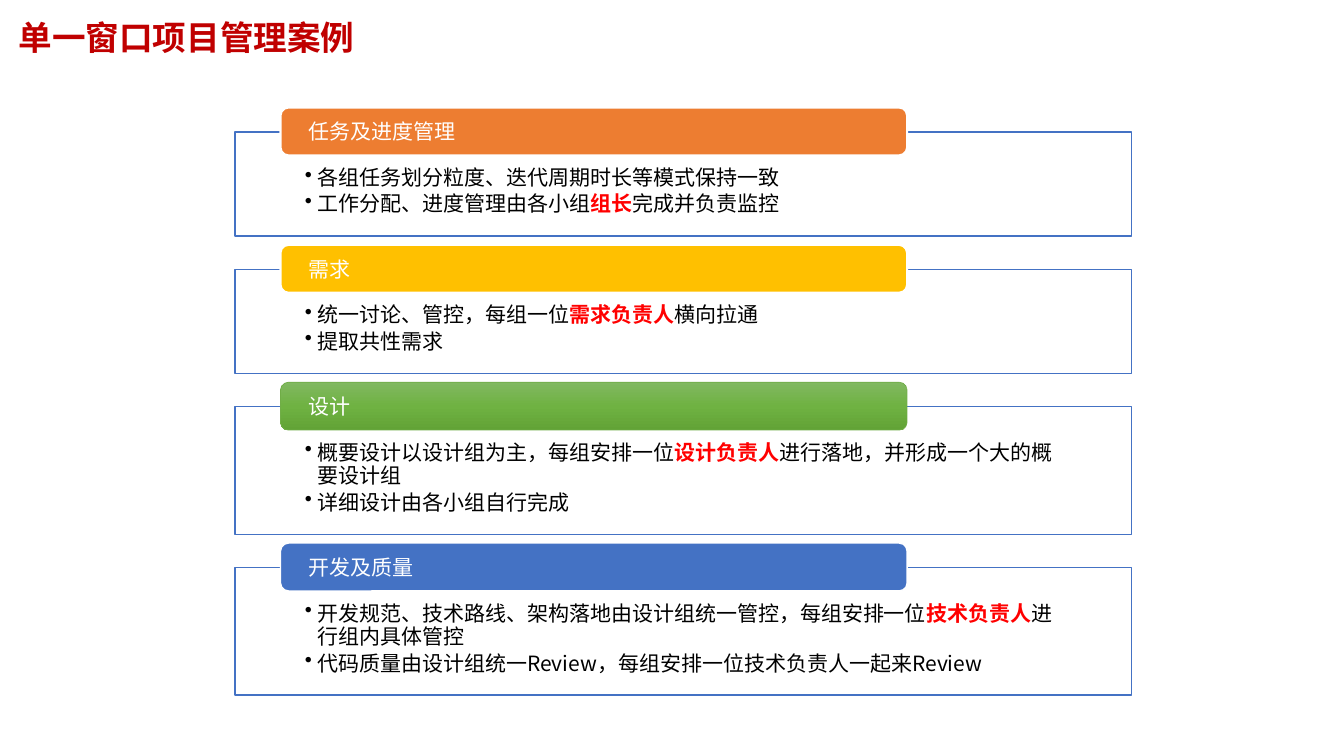
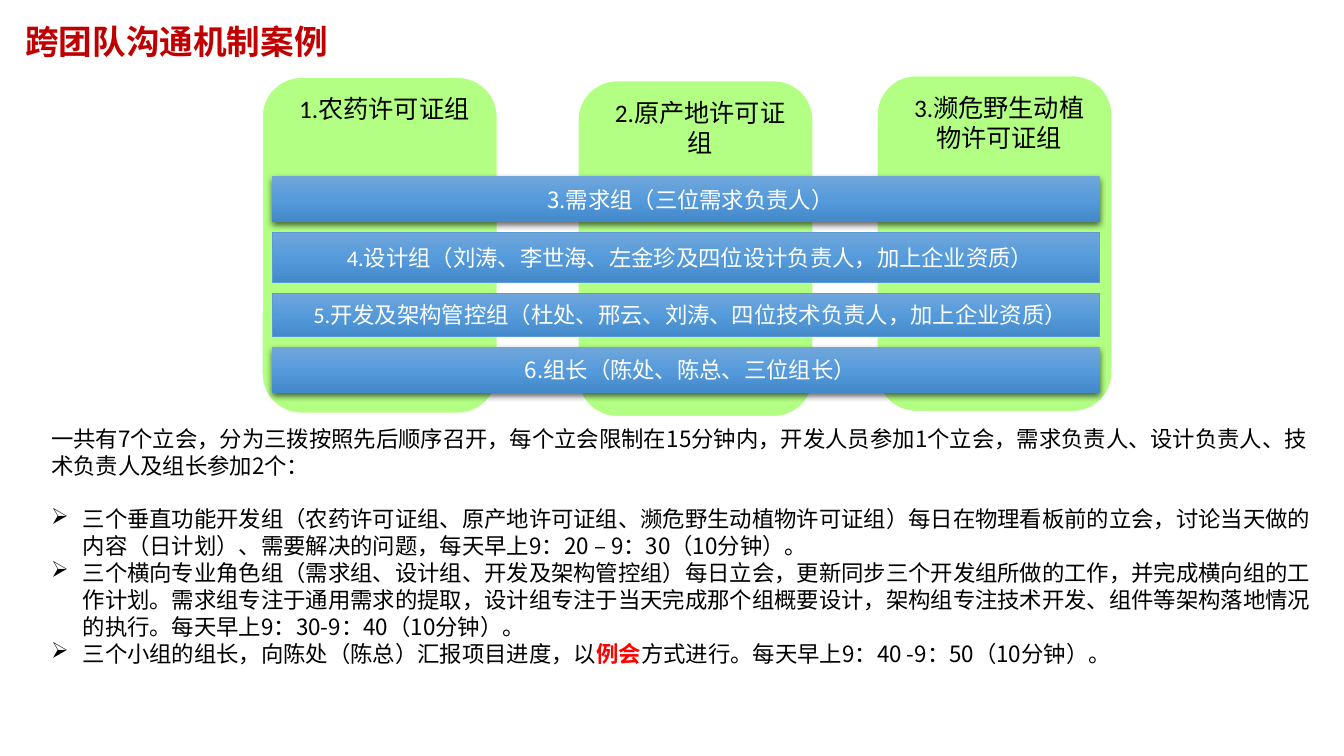
from copy import deepcopy

from lxml.etree import SubElement
from pptx import Presentation
from pptx.dml.color import RGBColor
from pptx.enum.shapes import MSO_SHAPE
from pptx.enum.text import MSO_ANCHOR, PP_ALIGN
from pptx.oxml.ns import qn
from pptx.util import Inches, Pt

COLUMNS, ROWS = 160, 90
CJK, LATIN = "Noto Sans CJK SC", "Calibri"
RED, BRIGHT_RED, BLACK, WHITE = "C00000", "FF0000", "000000", "FFFFFF"
BLUE, BAND_EDGE, PILLAR_GREEN = "4472C4", "5B9BD5", "B2FF84"
GREEN_FADE = ("81B861", "6FB242", "62A336")
BLUE_FADE = ("71A6DB", "559BDB", "448ACA")
TEXT_INSETS = (1.2, 0.6, 1.2, 0.6)
SHAPE_INSETS = (1.7, 0.6, 0.6, 0.6)


def color(code):
    return RGBColor.from_string(code)


class Deck:
    def __init__(self):
        self.presentation = Presentation()
        self.presentation.slide_width = Inches(13.333)
        self.presentation.slide_height = Inches(7.5)
        self.column = self.presentation.slide_width / COLUMNS
        self.row = self.presentation.slide_height / ROWS
        self.slide = None

    def place(self, left, top, width, height):
        return (round(left * self.column), round(top * self.row),
                round(width * self.column), round(height * self.row))

    def new_slide(self, title, left, top):
        blank = self.presentation.slide_layouts[6]
        self.slide = self.presentation.slides.add_slide(blank)
        frame = self.text_box((left, top, 55.5, 6.1))
        self.paragraph(frame, [title], 24, RED, bold=True)

    def frame(self, shape, insets, anchor=MSO_ANCHOR.TOP):
        frame = shape.text_frame
        frame.word_wrap = True
        frame.vertical_anchor = anchor
        left, top, right, bottom = insets
        frame.margin_left = round(left * self.column)
        frame.margin_top = round(top * self.row)
        frame.margin_right = round(right * self.column)
        frame.margin_bottom = round(bottom * self.row)
        return frame

    def text_box(self, area):
        box = self.slide.shapes.add_textbox(*self.place(*area))
        return self.frame(box, TEXT_INSETS)

    def box(self, kind, area, fill, edge=None, edge_width=1, shadow=False,
            insets=SHAPE_INSETS, anchor=MSO_ANCHOR.MIDDLE):
        shape = self.slide.shapes.add_shape(kind, *self.place(*area))
        shape.shadow.inherit = False
        if isinstance(fill, tuple):
            self.fade(shape, fill)
        else:
            shape.fill.solid()
            shape.fill.fore_color.rgb = color(fill)
        if edge:
            shape.line.color.rgb = color(edge)
            shape.line.width = Pt(edge_width)
        else:
            shape.line.fill.background()
        if shadow:
            self.cast_shadow(shape)
        return self.frame(shape, insets, anchor)

    def fade(self, shape, shades):
        shape.fill.gradient()
        shape.fill.gradient_angle = 270
        stops = shape._element.spPr.find(".//" + qn("a:gsLst"))
        stops.append(deepcopy(stops[-1]))
        for index, (stop, shade) in enumerate(zip(shape.fill.gradient_stops, shades)):
            stop.position = index / 2
            stop.color.rgb = color(shade)

    def cast_shadow(self, shape):
        effects = shape._element.spPr.find(qn("a:effectLst"))
        outer = SubElement(effects, qn("a:outerShdw"), blurRad=str(Pt(4.5)),
                           dist=str(Pt(1.5)), dir="5400000", rotWithShape="0")
        tint = SubElement(outer, qn("a:srgbClr"), val=BLACK)
        SubElement(tint, qn("a:alpha"), val="63000")

    def paragraph(self, frame, parts, size, ink, font=CJK, bold=False, leading=1.2,
                  after=0, align=PP_ALIGN.LEFT, bullet=None, indent=0):
        first = frame.paragraphs[0]
        paragraph = frame.add_paragraph() if first.runs else first
        paragraph.alignment = align
        paragraph.line_spacing = Pt(size * leading)
        paragraph.space_after = Pt(after)
        if bullet:
            properties = paragraph._p.get_or_add_pPr()
            hang = round(indent * self.column)
            properties.set("marL", str(hang))
            properties.set("indent", str(-hang))
            SubElement(properties, qn("a:buChar"), char=bullet)
        for index, part in enumerate(parts):
            stressed = index % 2 == 1
            run = paragraph.add_run()
            run.text = part
            run.font.size = Pt(size)
            run.font.bold = bold or stressed
            run.font.color.rgb = color(BRIGHT_RED if stressed else ink)
            run.font.name = font
            SubElement(run._r.get_or_add_rPr(), qn("a:ea"), typeface=CJK)

    def section(self, top, height, heading, items, fill, edge, edge_width):
        body = self.box(MSO_SHAPE.RECTANGLE, (28, top, 106.7, height), WHITE, BLUE,
                        insets=(8.3, 4.1, 8.3, 1.4), anchor=MSO_ANCHOR.TOP)
        for item in items:
            self.paragraph(body, item, 15, BLACK, leading=1.12, after=2,
                           bullet="•", indent=1.45)
        tab = self.box(MSO_SHAPE.ROUNDED_RECTANGLE, (33.4, top - 2.9, 74.6, 5.7),
                       fill, edge, edge_width, insets=(3.1, 0, 3.1, 0))
        self.paragraph(tab, [heading], 15, WHITE)

    def pillar(self, left, top, label):
        frame = self.box(MSO_SHAPE.ROUNDED_RECTANGLE, (left, top, 28, 40),
                         PILLAR_GREEN, WHITE, anchor=MSO_ANCHOR.TOP)
        self.paragraph(frame, [label], 18, BLACK, font=LATIN, align=PP_ALIGN.CENTER)

    def band(self, top, height, label, raised):
        frame = self.box(MSO_SHAPE.RECTANGLE, (32.4, top, 98.5, height), BLUE_FADE,
                         None if raised else BAND_EDGE, 0.5, shadow=raised)
        self.paragraph(frame, [label], 16, WHITE, font=CJK if raised else LATIN,
                       align=PP_ALIGN.CENTER)


def management_slide(deck):
    deck.new_slide("单一窗口项目管理案例", 1, 1.4)
    sections = [
        (12.4, "任务及进度管理",
         [["各组任务划分粒度、迭代周期时长等模式保持一致"],
          ["工作分配、进度管理由各小组", "组长", "完成并负责监控"]],
         "ED7D31", WHITE, 1.5),
        (12.4, "需求",
         [["统一讨论、管控，每组一位", "需求负责人", "横向拉通"],
          ["提取共性需求"]],
         "FFC000", WHITE, 1.5),
        (15.2, "设计",
         [["概要设计以设计组为主，每组安排一位", "设计负责人",
           "进行落地，并形成一个大的概要设计组"],
          ["详细设计由各小组自行完成"]],
         GREEN_FADE, "70AD47", 0.5),
        (15.2, "开发及质量",
         [["开发规范、技术路线、架构落地由设计组统一管控，每组安排一位",
           "技术负责人", "进行组内具体管控"],
          ["代码质量由设计组统一Review，每组安排一位技术负责人一起来Review"]],
         BLUE, WHITE, 1),
    ]
    top, gap = 15.7, 3.95
    for height, *content in sections:
        deck.section(top, height, *content)
        top += height + gap


def communication_slide(deck):
    deck.new_slide("跨团队沟通机制案例", 1.8, 1.9)
    pillars = [
        (68.8, 9.6, "2.原产地许可证组"),
        (104.4, 9, "3.濒危野生动植物许可证组"),
        (31.2, 9.2, "1.农药许可证组"),
    ]
    for pillar in pillars:
        deck.pillar(*pillar)

    bands = [
        (5.4, "3.需求组（三位需求负责人）", True),
        (6, "4.设计组（刘涛、李世海、左金珍及四位设计负责人，加上企业资质）", False),
        (5.2, "5.开发及架构管控组（杜处、邢云、刘涛、四位技术负责人，加上企业资质）", False),
        (5.4, "6.组长（陈处、陈总、三位组长）", True),
    ]
    top, gap = 21, 1.25
    for height, label, raised in bands:
        deck.band(top, height, label, raised)
        top += height + gap

    meetings = deck.text_box((4.9, 50, 152.5, 30.2))
    deck.paragraph(meetings, [
        "一共有7个立会，分为三拨按照先后顺序召开，每个立会限制在15分钟内，"
        "开发人员参加1个立会，需求负责人、设计负责人、技术负责人及组长参加2个："
    ], 16, BLACK, after=19.2)
    rules = [
        ["三个垂直功能开发组（农药许可证组、原产地许可证组、濒危野生动植物许可证组）"
         "每日在物理看板前的立会，讨论当天做的内容（日计划）、需要解决的问题，"
         "每天早上9：20 – 9：30（10分钟）。"],
        ["三个横向专业角色组（需求组、设计组、开发及架构管控组）每日立会，"
         "更新同步三个开发组所做的工作，并完成横向组的工作计划。"
         "需求组专注于通用需求的提取，设计组专注于当天完成那个组概要设计，"
         "架构组专注技术开发、组件等架构落地情况的执行。"
         "每天早上9：30-9：40（10分钟）。"],
        ["三个小组的组长，向陈处（陈总）汇报项目进度，以", "例会",
         "方式进行。每天早上9：40 -9：50（10分钟）。"],
    ]
    for rule in rules:
        deck.paragraph(meetings, rule, 16, BLACK, bullet="➢", indent=3.75)


def main():
    deck = Deck()
    management_slide(deck)
    communication_slide(deck)
    deck.presentation.save("out.pptx")


if __name__ == "__main__":
    main()
